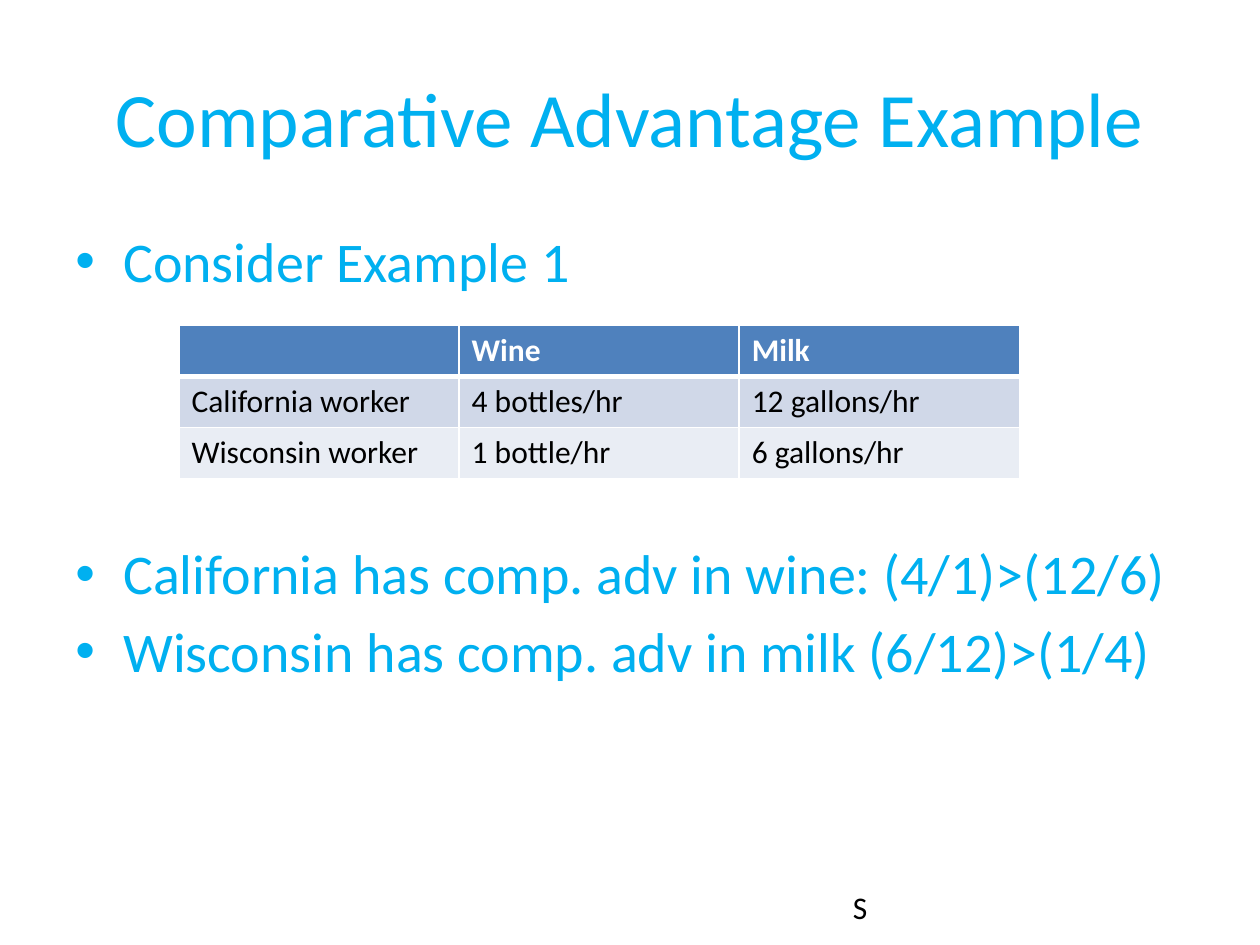
from lxml.etree import SubElement
from pptx import Presentation
from pptx.dml.color import RGBColor
from pptx.enum.text import MSO_ANCHOR as Anchor, MSO_AUTO_SIZE as AutoSize, PP_ALIGN as Align
from pptx.oxml.ns import qn
from pptx.util import Inches, Pt

SKY = RGBColor(0x00, 0xB0, 0xF0)
BLACK = RGBColor(0x00, 0x00, 0x00)
WHITE = RGBColor(0xFF, 0xFF, 0xFF)
HEADER_BLUE = RGBColor(0x4F, 0x81, 0xBD)
BANDS = (RGBColor(0xD0, 0xD8, 0xE8), RGBColor(0xE9, 0xED, 0xF4))


class SlideBuilder:
    """Holds the style and the slide being built."""

    font_name = "Calibri"
    indent = Inches(0.38)

    def __init__(self, slide):
        """Keep the slide to draw on."""
        self.slide = slide

    def style(self, paragraph, size, color, bold=False):
        """Set the font of a whole paragraph."""
        font = paragraph.font
        font.name, font.size, font.bold = self.font_name, Pt(size), bold
        font.color.rgb = color

    def text(self, box, content, size, color, align=Align.LEFT, anchor=Anchor.TOP, wrap=True):
        """Add a text box with one line per paragraph and return its frame."""
        frame = self.slide.shapes.add_textbox(*map(Inches, box)).text_frame
        frame.word_wrap = wrap
        frame.auto_size = AutoSize.NONE if wrap else AutoSize.SHAPE_TO_FIT_TEXT
        frame.vertical_anchor = anchor
        frame.text = content
        for paragraph in frame.paragraphs:
            paragraph.alignment = align
            self.style(paragraph, size, color)
        return frame

    def bullets(self, box, points, size, color):
        """Add a bulleted list from (text, space before) pairs."""
        frame = self.text(box, "\n".join(point for point, _ in points), size, color)
        for paragraph, (_, gap) in zip(frame.paragraphs, points):
            paragraph.space_before = Pt(gap)
            properties = paragraph._p.get_or_add_pPr()
            properties.set("marL", str(self.indent))
            properties.set("indent", str(-self.indent))
            SubElement(properties, qn("a:buFont")).set("typeface", "Arial")
            SubElement(properties, qn("a:buChar")).set("char", "•")
            # The bullet must come before the default run properties.
            properties.append(properties.find(qn("a:defRPr")))

    def borders(self, cell, color, bottom):
        """Draw the four cell borders, with the bottom width given in points."""
        properties = cell._tc.get_or_add_tcPr()
        for side, width in (("L", 1), ("R", 1), ("T", 1), ("B", bottom)):
            line = SubElement(properties, qn(f"a:ln{side}"), w=str(Pt(width)))
            fill = SubElement(line, qn("a:solidFill"))
            SubElement(fill, qn("a:srgbClr"), val=str(color))

    def table(self, box, rows, size):
        """Add a table with a header row and banded body rows."""
        table = self.slide.shapes.add_table(len(rows), len(rows[0]), *map(Inches, box)).table
        for r, row in enumerate(rows):
            header = r == 0
            for c, content in enumerate(row):
                cell = table.cell(r, c)
                cell.text = content
                self.style(cell.text_frame.paragraphs[0], size,
                           WHITE if header else BLACK, header)
                self.borders(cell, WHITE, 3 if header else 1)
                cell.fill.solid()
                cell.fill.fore_color.rgb = HEADER_BLUE if header else BANDS[(r - 1) % 2]


deck = Presentation()
deck.slide_width, deck.slide_height = Inches(10), Inches(7.5)
builder = SlideBuilder(deck.slides.add_slide(deck.slide_layouts[6]))

builder.text((0.5, 0.3, 9, 1.25), "Comparative Advantage Example", 44, SKY,
             Align.CENTER, Anchor.MIDDLE)
builder.bullets((0.5, 1.75, 9, 4.95), [
    ("Consider Example 1", 6),
    ("California has comp. adv in wine: (4/1)>(12/6)", 140),
    ("Wisconsin has comp. adv in milk (6/12)>(1/4)", 6),
], 32, SKY)
builder.text((6.67, 7, 0.32, 0.4), "S", 18, BLACK, wrap=False)
builder.table((1.42, 2.58, 6.67, 1.22), [
    ("", "Wine", "Milk"),
    ("California worker", "4 bottles/hr", "12 gallons/hr"),
    ("Wisconsin worker", "1 bottle/hr", "6 gallons/hr"),
], 18)

deck.save("out.pptx")
